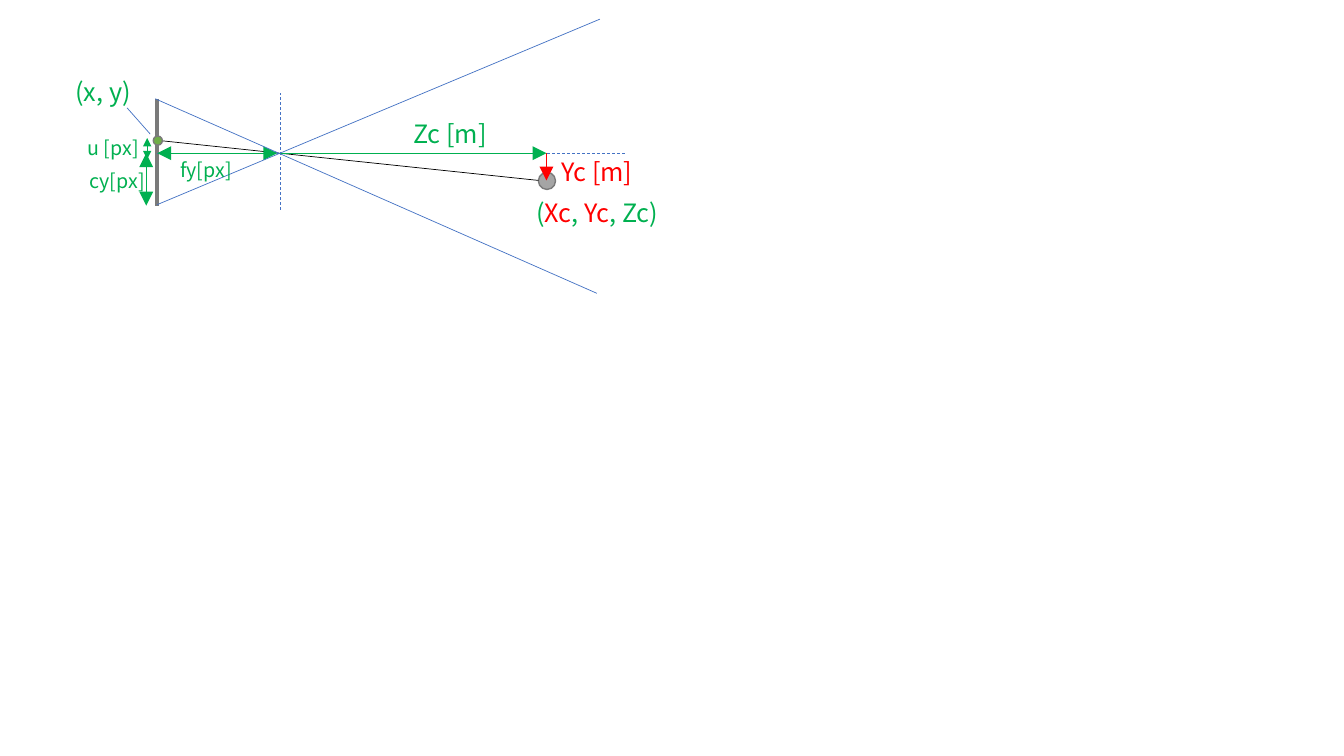
from lxml import etree
from pptx import Presentation
from pptx.dml.color import RGBColor
from pptx.enum.dml import MSO_LINE
from pptx.enum.shapes import MSO_CONNECTOR, MSO_SHAPE
from pptx.enum.text import MSO_AUTO_SIZE
from pptx.oxml.ns import qn
from pptx.util import Inches, Pt

COLORS = {
    "known": "00B050",
    "unknown": "FF0000",
    "view": "4472C4",
    "ray": "000000",
    "outline": "7A7A7A",
    "object": "A5A5A5",
    "pixel": "70AD47",
}
FONT = "Noto Sans CJK JP"
SENSOR_X, LENS_X, OBJECT_X = 1.56, 2.78, 5.42
AXIS_Y, OBJECT_Y = 1.52, 1.79
SENSOR_TOP, SENSOR_BOTTOM = 0.98, 2.04

prs = Presentation()
prs.slide_width, prs.slide_height = Inches(13.33), Inches(7.5)
slide = prs.slides.add_slide(prs.slide_layouts[6])


def add_line(start, end, color, width=0.5, dashed=False, arrows=(), size="lg"):
    """Draw a straight line; arrows lists headEnd and/or tailEnd."""
    line = slide.shapes.add_connector(
        MSO_CONNECTOR.STRAIGHT, *(Inches(v) for v in (*start, *end)))
    line.line.color.rgb = RGBColor.from_string(COLORS[color])
    line.line.width = Pt(width)
    if dashed:
        line.line.dash_style = MSO_LINE.DASH
    properties = line._element.spPr
    outline = properties.find(qn("a:ln"))
    for arrow in arrows:
        etree.SubElement(outline, qn(f"a:{arrow}"), type="triangle", w=size, len=size)
    etree.SubElement(properties, qn("a:effectLst"))


def add_dot(left, top, diameter, color):
    """Draw an outlined round point."""
    dot = slide.shapes.add_shape(
        MSO_SHAPE.OVAL, *(Inches(v) for v in (left, top, diameter, diameter)))
    dot.shadow.inherit = False
    dot.fill.solid()
    dot.fill.fore_color.rgb = RGBColor.from_string(COLORS[color])
    dot.line.color.rgb = RGBColor.from_string(COLORS["outline"])
    dot.line.width = Pt(1)


# Sensor, object point and its ray
add_line((SENSOR_X, SENSOR_TOP), (SENSOR_X, SENSOR_BOTTOM), "outline", width=3)
add_dot(5.34, 1.71, 0.17, "object")
add_line((1.54, 1.39), (5.34, OBJECT_Y), "ray")

# Optical axis and lens plane
add_line((SENSOR_X, AXIS_Y), (6.21, AXIS_Y), "view", dashed=True)
add_line((LENS_X, 2.08), (LENS_X, 0.92), "view", dashed=True)

# Dimensions
both = ("headEnd", "tailEnd")
add_line((OBJECT_X, OBJECT_Y), (OBJECT_X, AXIS_Y), "unknown", arrows=["headEnd"])
add_line((LENS_X, AXIS_Y), (OBJECT_X, AXIS_Y), "known", arrows=["tailEnd"])
add_line((SENSOR_X, AXIS_Y), (2.75, AXIS_Y), "known", arrows=both)

# Field of view
add_line((1.54, SENSOR_TOP), (5.92, 2.91), "view")
add_line((SENSOR_X, 2.03), (5.95, 0.19), "view")

# Pixel offsets on the sensor
add_line((1.45, SENSOR_BOTTOM), (1.45, AXIS_Y), "known", arrows=both)
add_line((1.46, 1.58), (1.46, 1.37), "known", arrows=both, size="med")
add_dot(1.52, 1.35, 0.09, "pixel")
add_line((1.49, 1.33), (1.26, 1.07), "view")

# Labels: left, top, width, height, font size, coloured parts
labels = [
    (5.22, 1.91, 1.54, 0.4, 18, [("(", "known"), ("Xc", "unknown"), (", ", "known"),
                                 ("Yc", "unknown"), (", Zc)", "known")]),
    (0.65, 0.71, 0.78, 0.4, 18, [("(x, y)", "known")]),
    (5.47, 1.5, 0.98, 0.4, 18, [("Yc [m]", "unknown")]),
    (4, 1.12, 0.97, 0.4, 18, [("Zc [m]", "known")]),
    (1.69, 1.52, 0.73, 0.34, 14, [("fy[px]", "known")]),
    (0.79, 1.63, 0.76, 0.34, 14, [("cy[px]", "known")]),
    (0.77, 1.3, 0.73, 0.34, 14, [("u [px]", "known")]),
]
for *box, size, parts in labels:
    frame = slide.shapes.add_textbox(*(Inches(v) for v in box)).text_frame
    frame.word_wrap = False
    frame.auto_size = MSO_AUTO_SIZE.SHAPE_TO_FIT_TEXT
    paragraph = frame.paragraphs[0]
    paragraph.font.name, paragraph.font.size = FONT, Pt(size)
    for text, color in parts:
        run = paragraph.add_run()
        run.text = text
        run.font.color.rgb = RGBColor.from_string(COLORS[color])

prs.save("out.pptx")
